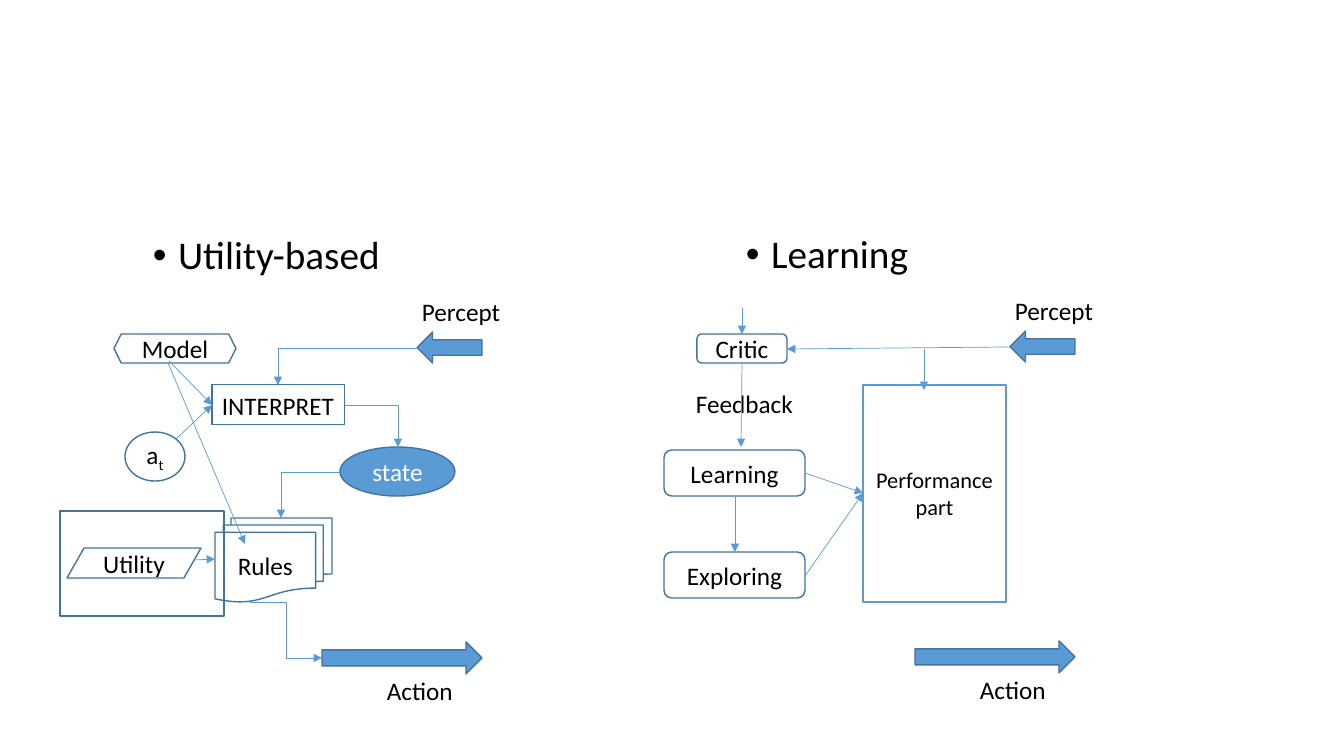
import pptx
import pptx.util
import pptx.dml.color
import pptx.enum.shapes
import pptx.enum.text
import pptx.oxml.ns
import lxml.etree

PIXEL = 914400 / 100.8
BLUE = pptx.dml.color.RGBColor(0x5B, 0x9B, 0xD5)
DARK_BLUE = pptx.dml.color.RGBColor(0x43, 0x73, 0x9E)
BLACK = pptx.dml.color.RGBColor(0, 0, 0)
WHITE = pptx.dml.color.RGBColor(255, 255, 255)
FONT = "Calibri"
KIND = pptx.enum.shapes.MSO_SHAPE
CONNECTOR = pptx.enum.shapes.MSO_CONNECTOR
CENTER = pptx.enum.text.PP_ALIGN.CENTER
MIDDLE = pptx.enum.text.MSO_ANCHOR.MIDDLE


def emu(pixels):
    """Turn pixels into EMU."""
    return pptx.util.Emu(round(pixels * PIXEL))


def place(origin, box):
    """Turn a box relative to origin into slide lengths."""
    left, top, width, height = box
    return [emu(value) for value in (origin[0] + left, origin[1] + top, width, height)]


def add_child(parent, tag, **attributes):
    """Append a DrawingML element."""
    return lxml.etree.SubElement(parent, pptx.oxml.ns.qn(tag), attributes)


def apply_format(target, values):
    """Set attributes from a dict of format values."""
    for name, value in values.items():
        setattr(target, name, value)


def write(paragraph, text, size, color):
    """Add one formatted run to a paragraph."""
    run = paragraph.add_run()
    run.text = text
    apply_format(run.font, {"name": FONT, "size": pptx.util.Pt(size)})
    run.font.color.rgb = color
    return run


def add_node(slide, origin, kind, box, text="", fill=None, line=DARK_BLUE,
             size=18, color=BLACK):
    """Add an outlined shape with a centred label."""
    shape = slide.shapes.add_shape(kind, *place(origin, box))
    shape.shadow.inherit = False
    if fill is None:
        shape.fill.background()
    else:
        shape.fill.solid()
        shape.fill.fore_color.rgb = fill
    shape.line.color.rgb = line
    shape.line.width = pptx.util.Pt(1)
    if text:
        apply_format(shape.text_frame, {"word_wrap": True, "vertical_anchor": MIDDLE})
        paragraph = shape.text_frame.paragraphs[0]
        paragraph.alignment = CENTER
        write(paragraph, text, size, color)
    return shape


def add_label(slide, origin, box, text, size=18, wrap=True):
    """Add a left-aligned text box."""
    label = slide.shapes.add_textbox(*place(origin, box))
    label.text_frame.word_wrap = wrap
    write(label.text_frame.paragraphs[0], text, size, BLACK)
    return label


def add_arrow(slide, origin, points, preset="line"):
    """Add a thin arrow, straight or with the bends of its preset."""
    start_x, start_y, end_x, end_y = points
    kind = CONNECTOR.STRAIGHT if preset == "line" else CONNECTOR.ELBOW
    arrow = slide.shapes.add_connector(
        kind, emu(origin[0] + start_x), emu(origin[1] + start_y),
        emu(origin[0] + end_x), emu(origin[1] + end_y))
    arrow.line.color.rgb = BLUE
    arrow.line.width = pptx.util.Pt(0.5)
    properties = arrow._element.spPr
    properties.find(pptx.oxml.ns.qn("a:prstGeom")).set("prst", preset)
    add_child(properties.find(pptx.oxml.ns.qn("a:ln")), "a:tailEnd", type="triangle")
    add_child(properties, "a:effectLst")


def add_agent_frame(slide, origin, title):
    """Add the heading, percept and action that every agent has."""
    heading = add_label(slide, origin, (93, 1, 378, 62), title, size=28)
    paragraph = heading.text_frame.paragraphs[0]
    apply_format(paragraph, {"line_spacing": 0.9, "space_before": pptx.util.Pt(10)})
    properties = paragraph._p.get_or_add_pPr()
    properties.set("marL", "228600")
    properties.set("indent", "-228600")
    add_child(properties, "a:buFont", typeface="Arial")
    add_child(properties, "a:buChar", char="•")
    add_node(slide, origin, KIND.RIGHT_ARROW, (272, 412, 160, 32), fill=BLUE)
    percept = add_node(slide, origin, KIND.RIGHT_ARROW, (367, 102, 65, 31), fill=BLUE)
    percept.rotation = 180
    add_label(slide, origin, (362, 61, 103, 40), "Percept")
    add_label(slide, origin, (327, 440, 94, 40), "Action")


def add_utility_agent(slide, origin):
    """Draw the utility-based agent."""
    add_agent_frame(slide, origin, "Utility-based")
    interpret = add_label(slide, origin, (162, 155, 133, 40), "INTERPRET", wrap=False)
    interpret.line.color.rgb = DARK_BLUE
    interpret.line.width = pptx.util.Pt(0.75)
    add_node(slide, origin, KIND.OVAL, (290, 217, 115, 49), "state", BLUE, color=WHITE)
    add_node(slide, origin, KIND.FLOWCHART_MULTIDOCUMENT, (165, 288, 117, 84), "Rules")
    add_node(slide, origin, KIND.HEXAGON, (64, 104, 122, 29), "Model", WHITE)
    action = add_node(slide, origin, KIND.OVAL, (75, 202, 60, 49), "a", WHITE)
    subscript = write(action.text_frame.paragraphs[0], "t", 18, BLACK)
    subscript.font._element.set("baseline", "-25000")
    add_node(slide, origin, KIND.RECTANGLE, (10, 281, 164, 105))
    utility = add_node(slide, origin, KIND.PARALLELOGRAM, (17, 318, 134, 30), "Utility")
    utility.adjustments[0] = 0.57
    for points in ((367, 118, 228, 155), (295, 175, 348, 217), (290, 242, 231, 288)):
        add_arrow(slide, origin, points, "bentConnector2")
    add_arrow(slide, origin, (200, 372, 272, 428), "bentConnector3")
    for points in ((119, 131, 162, 175), (126, 209, 162, 175),
                   (144, 330, 165, 329), (118, 133, 195, 314)):
        add_arrow(slide, origin, points)


def add_learning_agent(slide, origin):
    """Draw the learning agent."""
    add_agent_frame(slide, origin, "Learning")
    add_node(slide, origin, KIND.RECTANGLE, (220, 156, 143, 217), "Performance part",
             WHITE, BLUE, size=16)
    for text, box in (("Critic", (54, 105, 90, 29)),
                      ("Learning", (21, 221, 141, 46)),
                      ("Exploring", (21, 323, 141, 46))):
        add_node(slide, origin, KIND.ROUNDED_RECTANGLE, box, text)
    add_label(slide, origin, (43, 154, 118, 40), "Feedback", wrap=False)
    for points in ((99, 135, 98, 218), (367, 118, 144, 120), (281, 120, 281, 161),
                   (99, 79, 99, 105), (162, 244, 220, 264), (162, 347, 220, 264),
                   (92, 267, 92, 323)):
        add_arrow(slide, origin, points)


presentation = pptx.Presentation()
presentation.slide_width = emu(1344)
presentation.slide_height = emu(756)
agents_slide = presentation.slides.add_slide(presentation.slide_layouts[6])
add_utility_agent(agents_slide, (50, 230))
add_learning_agent(agents_slide, (643, 229))
presentation.save("out.pptx")
